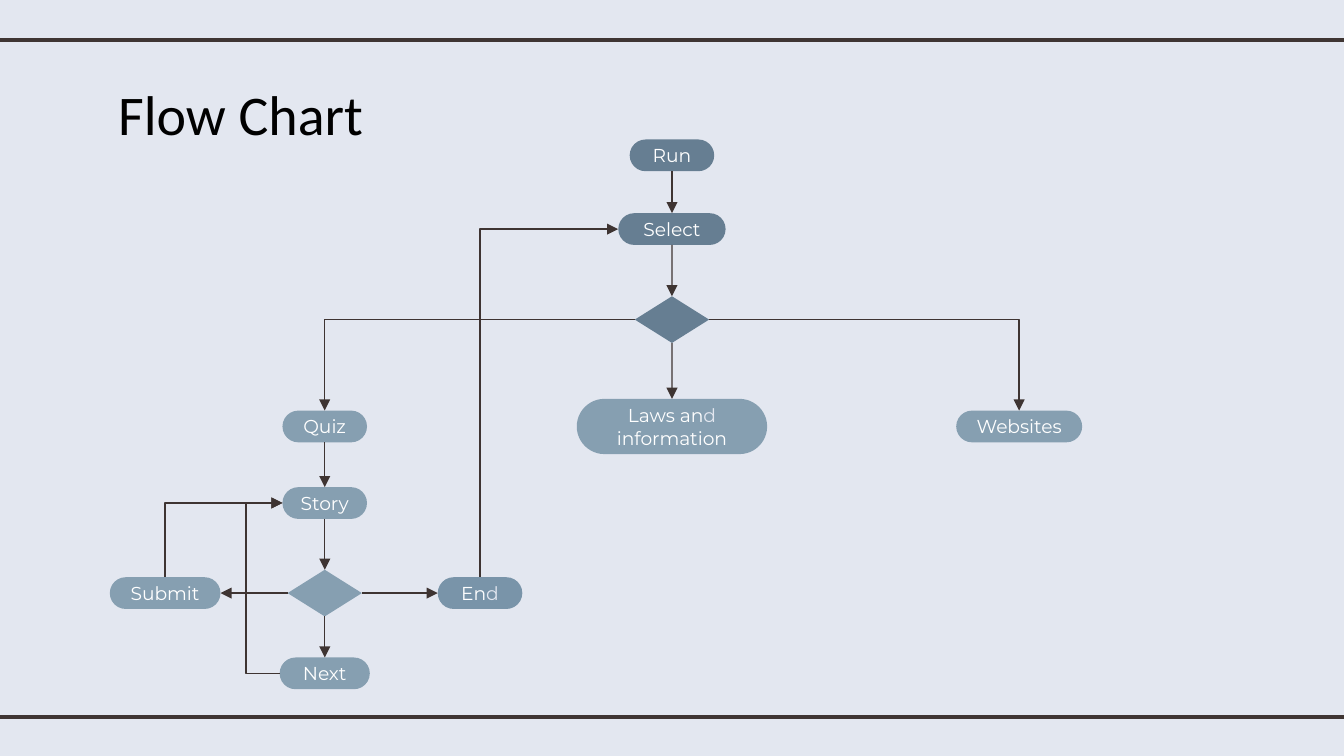
from lxml.etree import SubElement
from pptx import Presentation
from pptx.dml.color import RGBColor
from pptx.enum.shapes import MSO_CONNECTOR, MSO_SHAPE
from pptx.enum.text import MSO_ANCHOR, PP_ALIGN
from pptx.oxml.ns import qn
from pptx.util import Pt

COLORS = {
    "background": "E3E7F0",
    "rule": "3F3533",
    "arrow": "3E3432",
    "title": "000000",
    "label": "FFFFFF",
    "pale": "E3E7F0",
    "dark": "667E92",
    "medium": "7994A9",
    "light": "869FB1",
}
SLIDE_WIDTH, SLIDE_HEIGHT = 720, 405
TOP, LEFT, BOTTOM, RIGHT = range(4)
SUBMIT_X, QUIZ_X, END_X, CENTER_X, WEBSITES_X = 88.5, 174, 257.2, 360, 546
RUN_Y, SELECT_Y, CHOICE_Y, TOPIC_Y = 83.25, 122.75, 171.25, 228.5
STORY_Y, ANSWER_Y, NEXT_Y = 269.5, 317.75, 360.75
STEP_HEIGHT = 17
DETOUR = 18

STEPS = {
    "Run": (CENTER_X, RUN_Y, 45.3, STEP_HEIGHT, "dark"),
    "Select": (CENTER_X, SELECT_Y, 57.5, STEP_HEIGHT, "dark"),
    "Laws and information": (CENTER_X, TOPIC_Y, 102, 29.6, "light"),
    "Websites": (WEBSITES_X, TOPIC_Y, 67.5, STEP_HEIGHT, "light"),
    "Quiz": (QUIZ_X, TOPIC_Y, 45.3, STEP_HEIGHT, "light"),
    "Story": (QUIZ_X, STORY_Y, 45.3, STEP_HEIGHT, "light"),
    "Submit": (SUBMIT_X, ANSWER_Y, 59.3, STEP_HEIGHT, "light"),
    "End": (END_X, ANSWER_Y, 45.3, STEP_HEIGHT, "medium"),
    "Next": (QUIZ_X, NEXT_Y, 48.3, STEP_HEIGHT, "light"),
}
PALE_LETTER_LABELS = {
    "Laws and information": ("Laws an", "d", " information"),
    "End": ("En", "d"),
}
DECISIONS = {
    "topic choice": (CENTER_X, CHOICE_Y, "dark"),
    "answer choice": (QUIZ_X, ANSWER_Y, "light"),
}
STRAIGHT_ARROWS = [
    ("Run", BOTTOM, "Select", TOP),
    ("Select", BOTTOM, "topic choice", TOP),
    ("topic choice", BOTTOM, "Laws and information", TOP),
    ("Quiz", BOTTOM, "Story", TOP),
    ("Story", BOTTOM, "answer choice", TOP),
    ("answer choice", BOTTOM, "Next", TOP),
    ("answer choice", LEFT, "Submit", RIGHT),
    ("answer choice", RIGHT, "End", LEFT),
]
CORNER_ARROWS = [
    ("topic choice", LEFT, "Quiz", TOP, "tailEnd"),
    ("topic choice", RIGHT, "Websites", TOP, "tailEnd"),
    ("Story", LEFT, "Submit", TOP, "headEnd"),
    ("Select", LEFT, "End", TOP, "headEnd"),
]


def color(name):
    return RGBColor.from_string(COLORS[name])


def format_run(run, font_name, size, color_name):
    run.font.name = font_name
    run.font.size = Pt(size)
    run.font.color.rgb = color(color_name)


def add_node(slide, preset, center_x, center_y, width, height, fill_name):
    node = slide.shapes.add_shape(
        preset, Pt(center_x - width / 2), Pt(center_y - height / 2), Pt(width), Pt(height)
    )
    node.shadow.inherit = False
    node.fill.solid()
    node.fill.fore_color.rgb = color(fill_name)
    node.line.fill.background()
    return node


def add_step(slide, label, placement):
    step = add_node(slide, MSO_SHAPE.ROUNDED_RECTANGLE, *placement)
    step.adjustments[0] = 0.5
    frame = step.text_frame
    frame.word_wrap = True
    frame.vertical_anchor = MSO_ANCHOR.MIDDLE
    frame.margin_left = frame.margin_right = Pt(7.2)
    frame.margin_top = frame.margin_bottom = Pt(7.2)
    paragraph = frame.paragraphs[0]
    paragraph.alignment = PP_ALIGN.CENTER
    for part in PALE_LETTER_LABELS.get(label, (label,)):
        run = paragraph.add_run()
        run.text = part
        format_run(run, "Montserrat", 10, "pale" if part == "d" else "label")
    return step


def style_line(connector, color_name, width):
    connector.line.color.rgb = color(color_name)
    connector.line.width = Pt(width)
    SubElement(connector.element.spPr, qn("a:effectLst"))


def add_rule(slide, y):
    rule = slide.shapes.add_connector(
        MSO_CONNECTOR.STRAIGHT, Pt(-6), Pt(y), Pt(SLIDE_WIDTH + 6), Pt(y)
    )
    style_line(rule, "rule", 2.25)


def add_arrow(slide, kind, source, source_side, target, target_side, head="tailEnd"):
    arrow = slide.shapes.add_connector(kind, 0, 0, 0, 0)
    arrow.begin_connect(source, source_side)
    arrow.end_connect(target, target_side)
    style_line(arrow, "arrow", 0.75)
    outline = arrow.element.spPr.find(qn("a:ln"))
    SubElement(outline, qn("a:" + head), type="triangle")
    return arrow


def add_corner_arrow(slide, *route):
    arrow = add_arrow(slide, MSO_CONNECTOR.ELBOW, *route)
    arrow.element.spPr.find(qn("a:prstGeom")).set("prst", "bentConnector2")


def add_return_arrow(slide, source, target):
    arrow = add_arrow(slide, MSO_CONNECTOR.ELBOW, source, LEFT, target, LEFT)
    bend = round(-DETOUR * 100000 * Pt(1) / arrow.width)
    geometry = arrow.element.spPr.find(qn("a:prstGeom"))
    SubElement(geometry.find(qn("a:avLst")), qn("a:gd"), name="adj1", fmla=f"val {bend}")


def add_title(slide):
    title = slide.shapes.add_textbox(Pt(56.2), Pt(35.3), Pt(607.7), Pt(45.4))
    frame = title.text_frame
    frame.word_wrap = True
    frame.margin_left = frame.margin_right = Pt(7.2)
    frame.margin_top = frame.margin_bottom = Pt(7.2)
    frame.text = "Flow Chart"
    format_run(frame.paragraphs[0].runs[0], "Calibri", 30, "title")


def main():
    presentation = Presentation()
    presentation.slide_width = Pt(SLIDE_WIDTH)
    presentation.slide_height = Pt(SLIDE_HEIGHT)
    slide = presentation.slides.add_slide(presentation.slide_layouts[6])
    slide.background.fill.solid()
    slide.background.fill.fore_color.rgb = color("background")

    for y in (21.4, 384):
        add_rule(slide, y)
    add_title(slide)

    nodes = {label: add_step(slide, label, placement) for label, placement in STEPS.items()}
    for name, (x, y, fill_name) in DECISIONS.items():
        nodes[name] = add_node(
            slide, MSO_SHAPE.FLOWCHART_DECISION, x, y, 39.8, 25, fill_name
        )

    for source, source_side, target, target_side in STRAIGHT_ARROWS:
        add_arrow(
            slide, MSO_CONNECTOR.STRAIGHT, nodes[source], source_side, nodes[target], target_side
        )
    for source, source_side, target, target_side, head in CORNER_ARROWS:
        add_corner_arrow(slide, nodes[source], source_side, nodes[target], target_side, head)
    add_return_arrow(slide, nodes["Next"], nodes["Story"])

    presentation.save("out.pptx")


if __name__ == "__main__":
    main()
